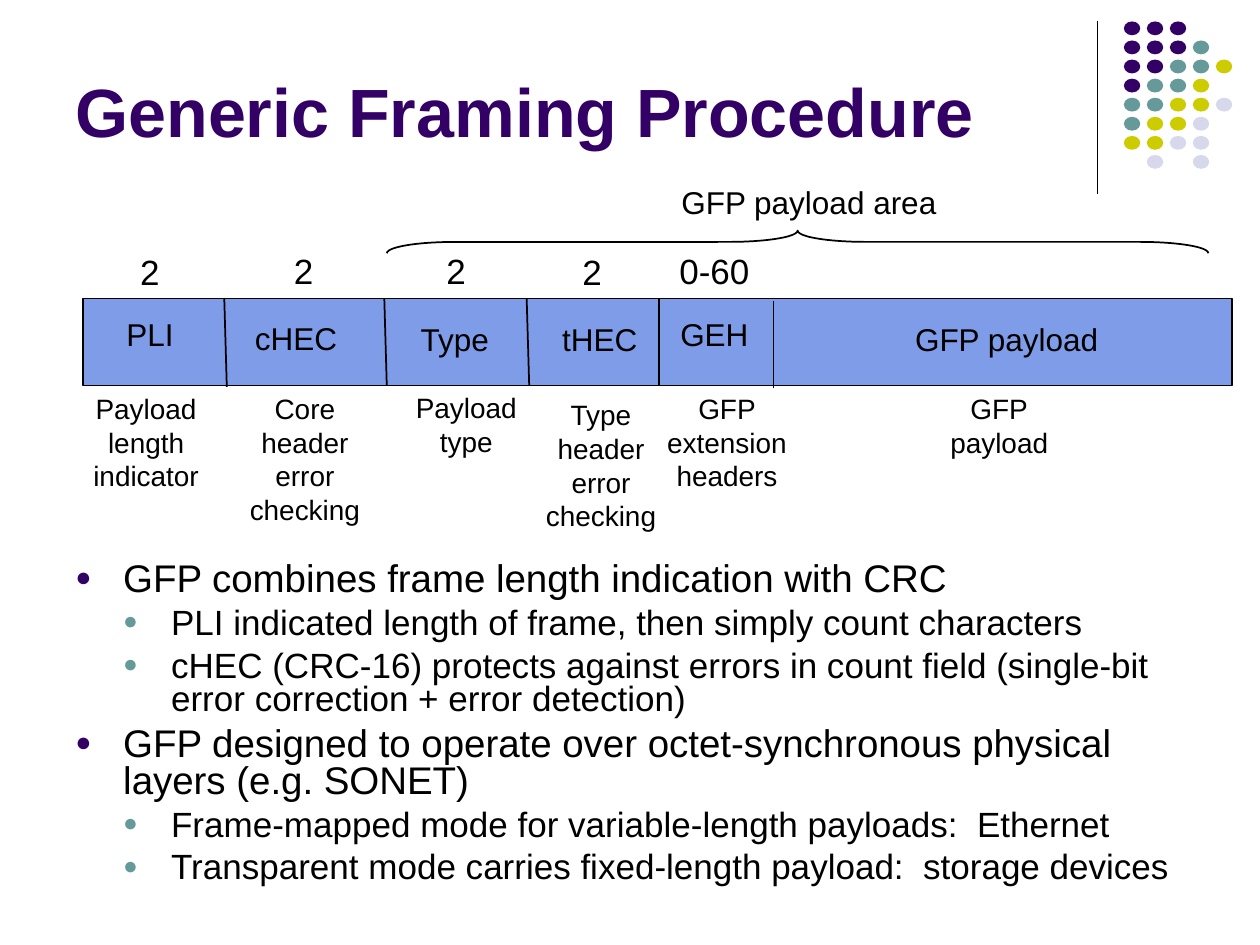
from dataclasses import dataclass

from lxml.etree import SubElement
from pptx import Presentation
from pptx.dml.color import RGBColor
from pptx.enum.shapes import MSO_CONNECTOR as Connector, MSO_SHAPE as Preset
from pptx.enum.text import MSO_ANCHOR as Anchor, PP_ALIGN as Align
from pptx.oxml.ns import qn
from pptx.util import Inches, Pt

FONT = "Arial"
COLORS = {
    "black": "000000",
    "purple": "330066",
    "teal": "669999",
    "lime": "CCCC00",
    "lilac": "D8D8EC",
    "frame": "7E9CE8",
}
DOT_COLORS = {"P": "purple", "T": "teal", "L": "lime", "V": "lilac"}
DOT_ROWS = ["PPP", "PPPT", "PPTTL", "PTTL", "TTLLV", "TLLV", "LLVV", " V V"]
DOT_PITCH_X, DOT_PITCH_Y = 0.73 / 4, 1.06 / 7
FRAME_TOP, FRAME_HEIGHT = 2.37, 0.69


@dataclass
class Label:
    text: str
    center: float
    top: float
    size: float


@dataclass
class Divider:
    top_x: float
    bottom_x: float
    top: float = FRAME_TOP
    height: float = FRAME_HEIGHT
    weight: float = 1


@dataclass
class Bullet:
    text: str
    level: int = 0


@dataclass
class BulletStyle:
    size: float
    before: float
    indent: float
    color: str


LABELS = [
    Label("GFP payload area", 6.42, 1.4, 18),
    Label("2", 1.19, 1.94, 20),
    Label("2", 2.41, 1.93, 20),
    Label("2", 3.62, 1.93, 20),
    Label("2", 4.7, 1.94, 20),
    Label("0-60", 5.67, 1.93, 20),
    Label("PLI", 1.19, 2.45, 18),
    Label("cHEC", 2.35, 2.48, 18),
    Label("Type", 3.61, 2.49, 18),
    Label("tHEC", 4.76, 2.49, 18),
    Label("GEH", 5.67, 2.45, 18),
    Label("GFP payload", 7.99, 2.49, 18),
    Label("Payload\nlength\nindicator", 1.16, 3.06, 16),
    Label("Core\nheader\nerror\nchecking", 2.42, 3.06, 16),
    Label("Payload\ntype", 3.7, 3.05, 16),
    Label("Type\nheader\nerror\nchecking", 4.77, 3.11, 16),
    Label("GFP\nextension\nheaders", 5.77, 3.06, 16),
    Label("GFP\npayload", 7.93, 3.06, 16),
]
DIVIDERS = [
    Divider(8.71, 8.71, 0.17, 1.37, 0.75),
    Divider(1.78, 1.8, height=0.7),
    Divider(3.05, 3.07),
    Divider(4.18, 4.2),
    Divider(5.23, 5.23),
    Divider(6.14, 6.14, top=2.39),
]
BULLETS = [
    Bullet("GFP combines frame length indication with CRC"),
    Bullet("PLI indicated length of frame, then simply count characters", 1),
    Bullet("cHEC (CRC-16) protects against errors in count field (single-bit "
           "error correction + error detection)", 1),
    Bullet("GFP designed to operate over octet-synchronous physical layers (e.g. SONET)"),
    Bullet("Frame-mapped mode for variable-length payloads:  Ethernet", 1),
    Bullet("Transparent mode carries fixed-length payload:  storage devices", 1),
]
BULLET_STYLES = [BulletStyle(22, 5.5, 0.38, "purple"), BulletStyle(20, 5, 0.76, "teal")]


def rgb(color: str) -> RGBColor:
    """Look up a named colour."""
    return RGBColor.from_string(COLORS[color])


def set_font(paragraph, size: float, color: str = "black", bold: bool = False) -> None:
    """Format every run of a paragraph."""
    for run in paragraph.runs:
        run.font.name = FONT
        run.font.size = Pt(size)
        run.font.bold = bold
        run.font.color.rgb = rgb(color)


def add_preset(slide, preset, left: float, top: float, width: float, height: float,
               fill: str | None = None, line: str | None = None):
    """Add a flat preset shape."""
    shape = slide.shapes.add_shape(
        preset, Inches(left), Inches(top), Inches(width), Inches(height))
    shape.shadow.inherit = False
    if fill:
        shape.fill.solid()
        shape.fill.fore_color.rgb = rgb(fill)
    else:
        shape.fill.background()
    if line:
        shape.line.color.rgb = rgb(line)
        shape.line.width = Pt(1)
    else:
        shape.line.fill.background()
    return shape


def add_divider(slide, divider: Divider) -> None:
    """Draw a rule from its top end to its bottom end."""
    rule = slide.shapes.add_connector(
        Connector.STRAIGHT, Inches(divider.top_x), Inches(divider.top),
        Inches(divider.bottom_x), Inches(divider.top + divider.height))
    rule.line.color.rgb = rgb("black")
    rule.line.width = Pt(divider.weight)
    SubElement(rule._element.spPr, qn("a:effectLst"))


def add_label(slide, label: Label) -> None:
    """Write centred lines around a horizontal position."""
    lines = label.text.split("\n")
    width = max(map(len, lines)) * label.size * 0.8 / 72 + 0.2
    height = len(lines) * label.size * 1.17 / 72 + 0.1
    box = slide.shapes.add_textbox(
        Inches(label.center - width / 2), Inches(label.top), Inches(width), Inches(height))
    box.text_frame.word_wrap = False
    box.text_frame.text = label.text
    for paragraph in box.text_frame.paragraphs:
        paragraph.alignment = Align.CENTER
        set_font(paragraph, label.size)


def add_title(slide, title: str) -> None:
    """Write the slide heading."""
    box = slide.shapes.add_textbox(Inches(0.5), Inches(0.13), Inches(8.25), Inches(1.12))
    box.text_frame.word_wrap = True
    box.text_frame.vertical_anchor = Anchor.BOTTOM
    box.text_frame.text = title
    set_font(box.text_frame.paragraphs[0], 39, "purple", True)


def add_bullets(slide, bullets: list[Bullet]) -> None:
    """Write the two-level bullet list."""
    box = slide.shapes.add_textbox(Inches(0.5), Inches(4.42), Inches(9), Inches(2.89))
    box.text_frame.word_wrap = True
    box.text_frame.text = "\n".join(bullet.text for bullet in bullets)
    for index, (bullet, paragraph) in enumerate(zip(bullets, box.text_frame.paragraphs)):
        style = BULLET_STYLES[bullet.level]
        paragraph.level = bullet.level
        paragraph.line_spacing = 0.8
        paragraph.space_before = Pt(style.before if index else 0)
        properties = paragraph._p.get_or_add_pPr()
        properties.set("marL", str(Inches(style.indent)))
        properties.set("indent", str(Inches(-0.38)))
        bullet_color = SubElement(properties, qn("a:buClr"))
        SubElement(bullet_color, qn("a:srgbClr"), val=COLORS[style.color])
        SubElement(properties, qn("a:buSzPct"), val="70000")
        SubElement(properties, qn("a:buFont"), typeface=FONT)
        SubElement(properties, qn("a:buChar"), char="●")
        set_font(paragraph, style.size)


def main() -> None:
    """Build the framing procedure slide."""
    deck = Presentation()
    deck.slide_width, deck.slide_height = Inches(10), Inches(7.5)
    slide = deck.slides.add_slide(deck.slide_layouts[6])
    for row, codes in enumerate(DOT_ROWS):
        for column, code in enumerate(codes):
            if code in DOT_COLORS:
                add_preset(slide, Preset.OVAL, 8.92 + column * DOT_PITCH_X,
                           0.17 + row * DOT_PITCH_Y, 0.13, 0.11, DOT_COLORS[code])
    add_preset(slide, Preset.RECTANGLE, 0.66, FRAME_TOP, 9.12, FRAME_HEIGHT, "frame", "black")
    for divider in DIVIDERS:
        add_divider(slide, divider)
    brace = add_preset(slide, Preset.LEFT_BRACE, 6.24, -1.34, 0.18, 6.52, line="black")
    brace.rotation = 90
    brace.adjustments[0] = 3
    for label in LABELS:
        add_label(slide, label)
    add_title(slide, "Generic Framing Procedure")
    add_bullets(slide, BULLETS)
    deck.save("out.pptx")


if __name__ == "__main__":
    main()
